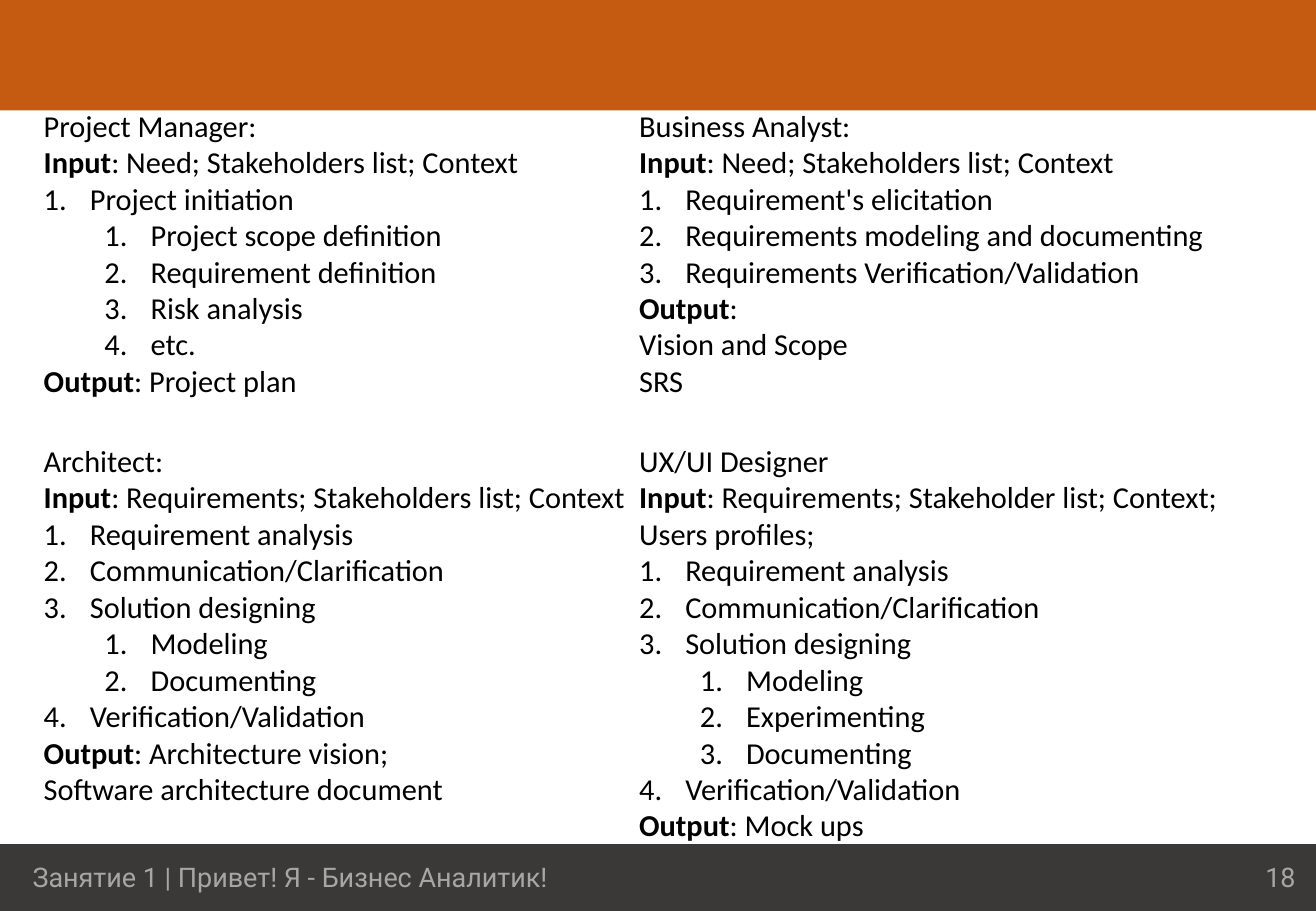
from dataclasses import dataclass

from lxml import etree
from pptx import Presentation
from pptx.dml.color import RGBColor
from pptx.enum.shapes import MSO_SHAPE
from pptx.enum.text import MSO_ANCHOR, MSO_AUTO_SIZE, PP_ALIGN
from pptx.oxml.ns import qn
from pptx.slide import Slide
from pptx.text.text import _Paragraph as Paragraph
from pptx.util import Inches, Pt

RECTANGLE = MSO_SHAPE.RECTANGLE
TOP, MIDDLE = MSO_ANCHOR.TOP, MSO_ANCHOR.MIDDLE
FIT_SHAPE = MSO_AUTO_SIZE.SHAPE_TO_FIT_TEXT
LEFT, RIGHT = PP_ALIGN.LEFT, PP_ALIGN.RIGHT

SLIDE_WIDTH, SLIDE_HEIGHT = 10.83, 7.5
COMPARISON_LAYOUT = 4
LEFT_COLUMN, RIGHT_COLUMN = 0.26, 5.16
UPPER_ROW, LOWER_ROW = 0.83, 3.59
NUMBER_INDENT, LEVEL_STEP = 0.38, 0.5


@dataclass(frozen=True)
class Line:
    text: str
    label: str = ""
    level: int | None = None


@dataclass(frozen=True)
class Band:
    top: float
    height: float
    color: str


@dataclass(frozen=True)
class FooterText:
    text: str
    left: float
    top: float
    width: float
    height: float
    alignment: PP_ALIGN


@dataclass(frozen=True)
class Role:
    placeholder_index: int
    left: float
    top: float
    width: float
    height: float
    lines: tuple[Line, ...]


def step(text: str) -> Line:
    return Line(text, level=0)


def substep(text: str) -> Line:
    return Line(text, level=1)


BANDS = (Band(6.95, 0.55, "3B3838"), Band(0, 0.91, "C55A11"))

FOOTER_TEXTS = (
    FooterText("Занятие 1 | Привет! Я - Бизнес Аналитик!", 0.17, 7.06, 5.3, 0.32, LEFT),
    FooterText("18", 8.32, 7.02, 2.44, 0.4, RIGHT),
)

ROLES = (
    Role(1, LEFT_COLUMN, UPPER_ROW, 4.14, 2.52, (
        Line("Project Manager:"),
        Line(": Need; Stakeholders list; Context", "Input"),
        step("Project initiation"),
        substep("Project scope definition"),
        substep("Requirement definition"),
        substep("Risk analysis"),
        substep("etc."),
        Line(": Project plan", "Output"),
    )),
    Role(2, LEFT_COLUMN, LOWER_ROW, 5.04, 3.13, (
        Line("Architect:"),
        Line(": Requirements; Stakeholders list; Context", "Input"),
        step("Requirement analysis"),
        step("Communication/Clarification"),
        step("Solution designing"),
        substep("Modeling"),
        substep("Documenting"),
        step("Verification/Validation"),
        Line(": Architecture vision;", "Output"),
        Line("Software architecture document"),
    )),
    Role(3, RIGHT_COLUMN, UPPER_ROW, 4.9, 2.52, (
        Line("Business Analyst:"),
        Line(": Need; Stakeholders list; Context", "Input"),
        step("Requirement's elicitation"),
        step("Requirements modeling and documenting"),
        step("Requirements Verification/Validation"),
        Line(":", "Output"),
        Line("Vision and Scope"),
        Line("SRS"),
    )),
    Role(4, RIGHT_COLUMN, LOWER_ROW, 5.06, 3.74, (
        Line("UX/UI Designer"),
        Line(": Requirements; Stakeholder list; Context;", "Input"),
        Line("Users profiles;"),
        step("Requirement analysis"),
        step("Communication/Clarification"),
        step("Solution designing"),
        substep("Modeling"),
        substep("Experimenting"),
        substep("Documenting"),
        step("Verification/Validation"),
        Line(": Mock ups", "Output"),
    )),
)


def rgb(color: str) -> RGBColor:
    return RGBColor.from_string(color)


def add_run(paragraph: Paragraph, text: str, font_name: str, size: float,
            color: str, bold: bool = False) -> None:
    run = paragraph.add_run()
    run.text = text
    run.font.name = font_name
    run.font.size = Pt(size)
    run.font.bold = bold
    run.font.color.rgb = rgb(color)


def set_numbering(paragraph: Paragraph, level: int | None) -> None:
    properties = paragraph._p.get_or_add_pPr()
    if level is None:
        properties.set("marL", "0")
        properties.set("indent", "0")
        etree.SubElement(properties, qn("a:buNone"))
        return
    paragraph.level = level
    properties.set("marL", str(Inches(NUMBER_INDENT + level * LEVEL_STEP)))
    properties.set("indent", str(Inches(-NUMBER_INDENT)))
    etree.SubElement(properties, qn("a:buFont"), typeface="Calibri")
    etree.SubElement(properties, qn("a:buAutoNum"), type="arabicPeriod")


def add_band(slide: Slide, band: Band) -> None:
    shape = slide.shapes.add_shape(RECTANGLE, Inches(0), Inches(band.top),
                                   Inches(SLIDE_WIDTH), Inches(band.height))
    shape.shadow.inherit = False
    shape.fill.solid()
    shape.fill.fore_color.rgb = rgb(band.color)
    shape.line.fill.background()


def add_footer_text(slide: Slide, footer: FooterText) -> None:
    box = slide.shapes.add_textbox(Inches(footer.left), Inches(footer.top),
                                   Inches(footer.width), Inches(footer.height))
    box.text_frame.word_wrap = True
    box.text_frame.vertical_anchor = MIDDLE
    paragraph = box.text_frame.paragraphs[0]
    paragraph.alignment = footer.alignment
    add_run(paragraph, footer.text, "Roboto", 16, "A6A6A6")


def fill_role(slide: Slide, role: Role) -> None:
    body = slide.placeholders[role.placeholder_index]
    body.left, body.top = Inches(role.left), Inches(role.top)
    body.width, body.height = Inches(role.width), Inches(role.height)
    body.element.getparent().append(body.element)
    frame = body.text_frame
    frame.word_wrap = False
    frame.auto_size = FIT_SHAPE
    frame.vertical_anchor = TOP
    for position, line in enumerate(role.lines):
        paragraph = frame.add_paragraph() if position else frame.paragraphs[0]
        set_numbering(paragraph, line.level)
        paragraph.alignment = LEFT
        paragraph.space_before = Pt(0)
        if line.label:
            add_run(paragraph, line.label, "Calibri", 18, "000000", bold=True)
        add_run(paragraph, line.text, "Calibri", 18, "000000")


def main() -> None:
    presentation = Presentation()
    presentation.slide_width = Inches(SLIDE_WIDTH)
    presentation.slide_height = Inches(SLIDE_HEIGHT)
    slide = presentation.slides.add_slide(presentation.slide_layouts[COMPARISON_LAYOUT])
    title = slide.shapes.title.element
    title.getparent().remove(title)
    for band in BANDS:
        add_band(slide, band)
    for footer in FOOTER_TEXTS:
        add_footer_text(slide, footer)
    for role in ROLES:
        fill_role(slide, role)
    presentation.save("out.pptx")


if __name__ == "__main__":
    main()
